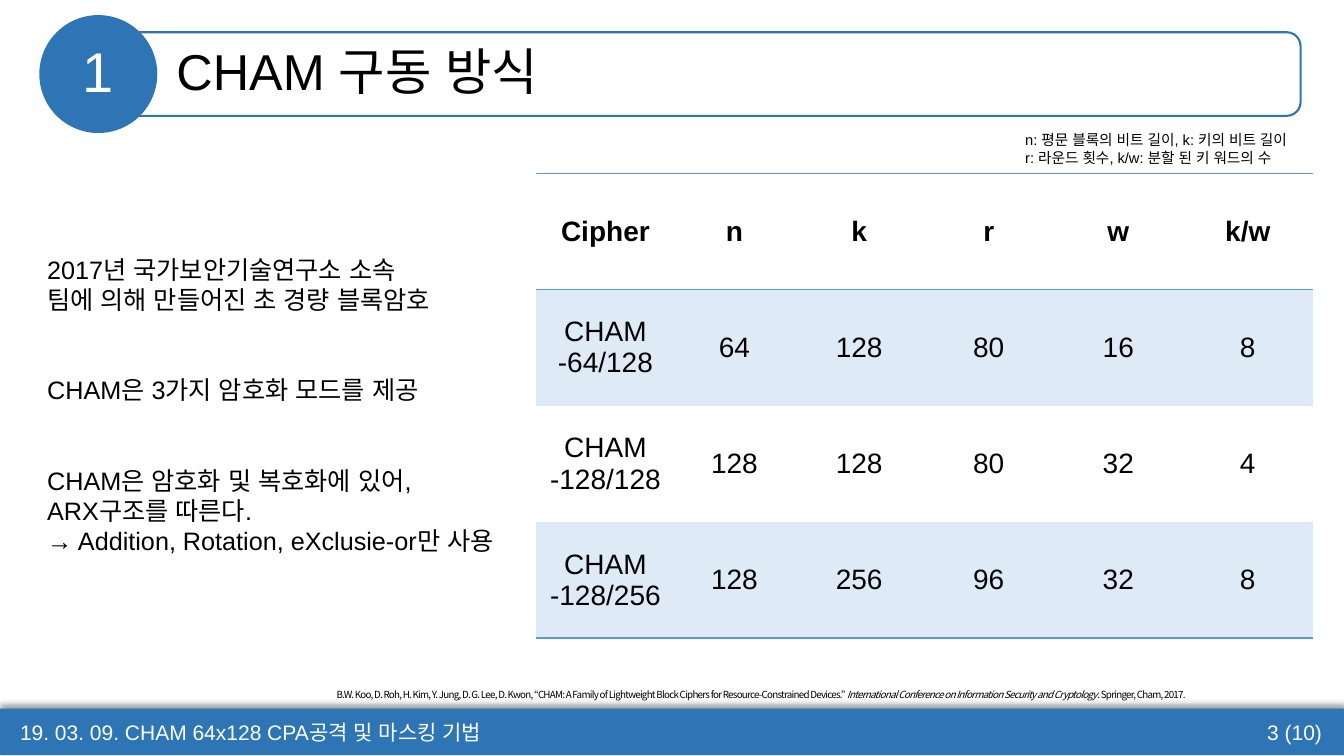
from lxml import etree
from pptx import Presentation
from pptx.dml.color import RGBColor
from pptx.enum.shapes import MSO_SHAPE as Shape
from pptx.enum.text import MSO_ANCHOR as Anchor, MSO_AUTO_SIZE as AutoSize, PP_ALIGN as Align
from pptx.oxml import parse_xml
from pptx.oxml.ns import nsdecls, qn
from pptx.util import Inches, Pt

COLORS = {"bar": "2E75B6", "rule": "5B9BD5", "band": "DEEBF7", "text": "000000", "white": "FFFFFF"}
WIDTH, HEIGHT = 13.33, 7.5
NO_STYLE = "{2D5ABB26-0587-4C30-8999-92F81FD0307C}"

CIPHERS = [
    ["Cipher", "n", "k", "r", "w", "k/w"],
    ["CHAM\v-64/128", "64", "128", "80", "16", "8"],
    ["CHAM\v-128/128", "128", "128", "80", "32", "4"],
    ["CHAM\v-128/256", "128", "256", "96", "32", "8"],
]
POINTS = [
    "2017년 국가보안기술연구소 소속\v팀에 의해 만들어진 초 경량 블록암호",
    "CHAM은 3가지 암호화 모드를 제공",
    "CHAM은 암호화 및 복호화에 있어,\vARX구조를 따른다.",
    "→ Addition, Rotation, eXclusie-or만 사용",
]
LEGEND = "n: 평문 블록의 비트 길이, k: 키의 비트 길이\vr: 라운드 횟수, k/w: 분할 된 키 워드의 수"
CITATION = [
    ("B.W. Koo, D. Roh, H. Kim, Y. Jung, D. G. Lee, D. Kwon, “CHAM: A Family of Lightweight "
     "Block Ciphers for Resource-Constrained Devices.” ", False),
    ("International Conference on Information Security and Cryptology", True),
    (". Springer, Cham, 2017.", False),
]


def color(name):
    return RGBColor.from_string(COLORS[name])


def place(shape, box):
    shape.left, shape.top, shape.width, shape.height = map(Inches, box)


def style_runs(paragraph, size, color_name="text", bold=False, name="Arial"):
    for run in paragraph.runs:
        font = run.font
        font.size, font.name, font.bold = Pt(size), name, bold
        font.color.rgb = color(color_name)
        etree.SubElement(run.font._element, qn("a:ea"), typeface=name)


def add_text(slide, box, text, size, color_name="text", align=Align.LEFT):
    shape = slide.shapes.add_textbox(*map(Inches, box))
    text_frame = shape.text_frame
    text_frame.word_wrap = True
    text_frame.text = text
    for paragraph in text_frame.paragraphs:
        paragraph.alignment = align
        style_runs(paragraph, size, color_name)
    return text_frame


def add_plain_shape(slide, kind, box, fill=None, line=None):
    shape = slide.shapes.add_shape(kind, *map(Inches, box))
    shape.shadow.inherit = False
    if fill:
        shape.fill.solid()
        shape.fill.fore_color.rgb = color(fill)
    else:
        shape.fill.background()
    if line:
        shape.line.color.rgb = color(line)
        shape.line.width = Pt(1.5)
    else:
        shape.line.fill.background()
    return shape


def fill_placeholder(slide, placeholder, box, text, size, color_name, align):
    slide.shapes.element.append(placeholder.element)  # bring to front
    place(placeholder, box)
    text_frame = placeholder.text_frame
    text_frame.text = text
    text_frame.auto_size = AutoSize.NONE
    text_frame.vertical_anchor = Anchor.MIDDLE
    paragraph = text_frame.paragraphs[0]
    properties = paragraph._p.get_or_add_pPr()
    properties.set("marL", "0")
    properties.set("indent", "0")
    etree.SubElement(properties, qn("a:buNone"))
    paragraph.alignment = align
    paragraph.line_spacing = 0.9
    paragraph.space_before = Pt(0)
    style_runs(paragraph, size, color_name)


def add_header(slide, box, number, title):
    left, top, width, height = box
    disc = height
    add_plain_shape(slide, Shape.OVAL, (left, top, disc, disc), fill="bar")
    frame_left = left + 0.74
    add_plain_shape(slide, Shape.ROUNDED_RECTANGLE,
                    (frame_left, top + 0.17, left + width - frame_left, height - 0.34), line="bar")
    fill_placeholder(slide, slide.shapes.title, (left + 1.26, top + 0.19, width - 1.25, 0.8),
                     title, 36, "text", Align.LEFT)
    fill_placeholder(slide, slide.placeholders[1], (left + disc / 4, top + disc / 4, disc / 2, disc / 2),
                     number, 40, "white", Align.CENTER)


def add_footer(slide, box, caption, page):
    left, top, width, height = box
    bar = add_plain_shape(slide, Shape.RECTANGLE, box, fill="bar")
    effects = bar.element.spPr.find(qn("a:effectLst"))
    effects.append(parse_xml(
        f'<a:outerShdw {nsdecls("a")} blurRad="{Pt(4)}" dist="{Pt(3)}" dir="16200000" rotWithShape="0">'
        '<a:srgbClr val="000000"><a:alpha val="40000"/></a:srgbClr></a:outerShdw>'))
    add_text(slide, (left + 0.1, top + 0.06, 5.19, 0.35), caption, 15, "white")
    add_text(slide, (left + width - 4.02, top + 0.06, 3.9, 0.35), page, 15, "white", Align.RIGHT)


def add_points(slide, box):
    text_frame = add_text(slide, box, "\n".join(POINTS), 18)
    for paragraph in text_frame.paragraphs[1:3]:
        paragraph.space_before = Pt(43)


def set_border(cell, side):
    cell._tc.get_or_add_tcPr().append(parse_xml(
        f'<a:{side} {nsdecls("a")} w="{Pt(1)}"><a:solidFill><a:srgbClr val="{COLORS["rule"]}"/>'
        f'</a:solidFill></a:{side}>'))


def add_cipher_table(slide, box):
    left, top, width, height = box
    row_count, column_count = len(CIPHERS), len(CIPHERS[0])
    frame = slide.shapes.add_table(row_count, column_count, *map(Inches, box))
    frame.element.xpath(".//a:tableStyleId")[0].text = NO_STYLE
    table = frame.table
    first_widths = [1.37, 1.19]
    rest = (width - sum(first_widths)) / (column_count - 2)
    for column, column_width in zip(table.columns, first_widths + [rest] * (column_count - 2)):
        column.width = Inches(column_width)
    for i, values in enumerate(CIPHERS):
        table.rows[i].height = Inches(height / row_count)
        for j, value in enumerate(values):
            cell = table.cell(i, j)
            cell.text = value
            cell.vertical_anchor = Anchor.MIDDLE
            for paragraph in cell.text_frame.paragraphs:
                paragraph.alignment = Align.CENTER
                style_runs(paragraph, 20, bold=i == 0)
            # Borders come before the fill in the cell properties
            if i == 0:
                set_border(cell, "lnT")
            if i in (0, row_count - 1):
                set_border(cell, "lnB")
            if i % 2:
                cell.fill.solid()
                cell.fill.fore_color.rgb = color("band")
            else:
                cell.fill.background()


def add_citation(slide, box):
    paragraph = add_text(slide, box, "", 7).paragraphs[0]
    paragraph.alignment = Align.JUSTIFY
    paragraph.line_spacing = 1.5
    for text, italic in CITATION:
        run = paragraph.add_run()
        run.text = text
        run.font.italic = italic
        run.font._element.set("spc", "-50")
    style_runs(paragraph, 7, name="Noto Sans CJK KR")


def main():
    presentation = Presentation()
    presentation.slide_width, presentation.slide_height = Inches(WIDTH), Inches(HEIGHT)
    slide = presentation.slides.add_slide(presentation.slide_layouts[1])
    add_footer(slide, (0, 7.03, WIDTH, 0.46), "19. 03. 09. CHAM 64x128 CPA공격 및 마스킹 기법", "3 (10)")
    add_header(slide, (0.39, 0.15, 12.51, 1.17), "1", "CHAM 구동 방식")
    add_points(slide, (0.37, 2.47, 4.74, 3.13))
    add_cipher_table(slide, (5.32, 1.72, 7.7, 4.61))
    add_text(slide, (10.07, 1.25, 3.15, 0.47), LEGEND, 10.5)
    add_citation(slide, (3.24, 6.72, 9.32, 0.28))
    presentation.save("out.pptx")


if __name__ == "__main__":
    main()
